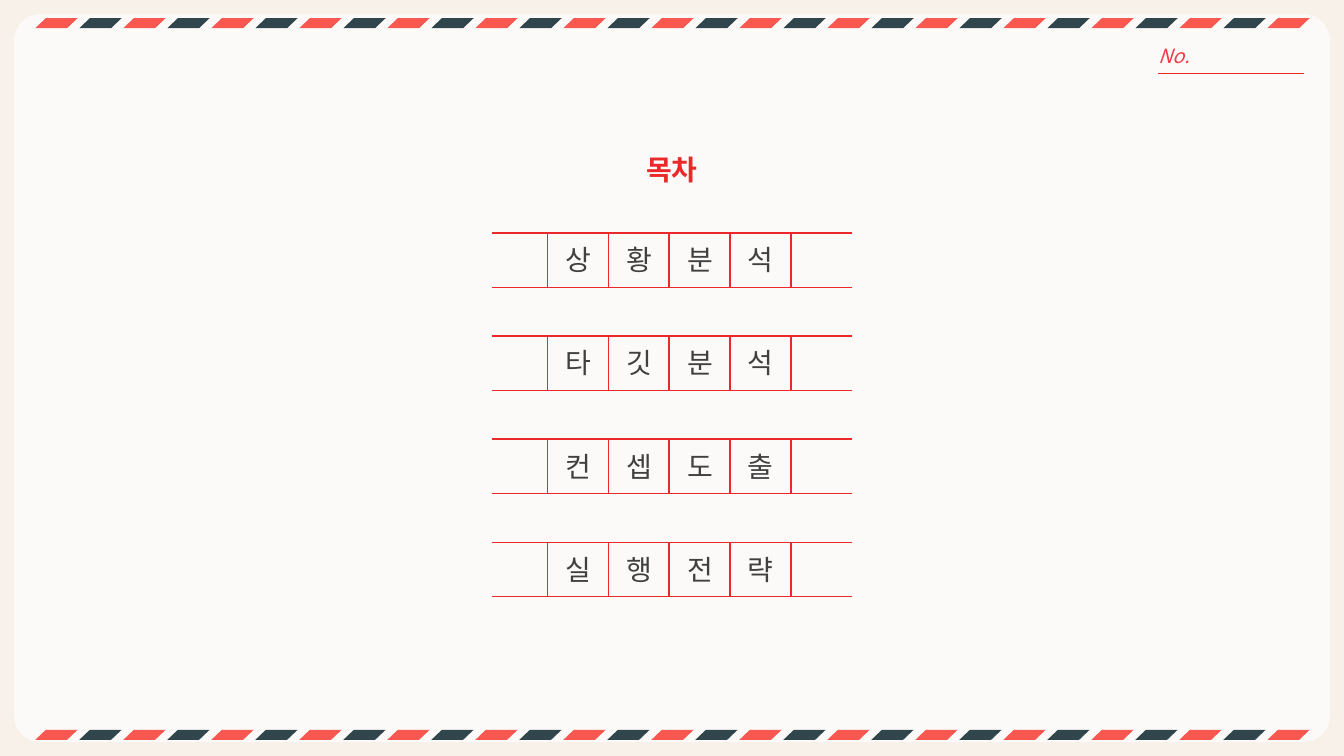
from dataclasses import dataclass

from lxml import etree
from pptx import Presentation
from pptx import util as u
from pptx.dml.color import RGBColor
from pptx.enum import shapes, text
from pptx.oxml.ns import qn


@dataclass(frozen=True)
class Theme:
    """Colours, font and type sizes of the slide."""
    paper: str = "F8F1E9"
    card: str = "FFFFFF"
    coral: str = "F95850"
    slate: str = "31454C"
    rule: str = "EB292B"
    label: str = "F03C45"
    ink: str = "404040"
    face: str = "Noto Sans CJK KR"
    small: int = 14
    large: int = 20
    thin: float = 1
    rule_pt: float = 1.1


T = Theme()
TOPICS = ("상황분석", "타깃분석", "컨셉도출", "실행전략")


def rgb(code):
    """Turn a hex code into a colour."""
    return RGBColor.from_string(code)


def shape(host, kind, box, color, adj):
    """Add a flat filled preset shape."""
    item = host.shapes.add_shape(kind, *map(u.Inches, box))
    item.shadow.inherit = False
    item.adjustments[0] = adj
    item.fill.solid()
    item.fill.fore_color.rgb = rgb(color)
    item.line.fill.background()
    return item


def rule(host, start, end, width):
    """Add a plain red line between two points."""
    line = host.shapes.add_connector(
        shapes.MSO_CONNECTOR.STRAIGHT, *map(u.Inches, (*start, *end)))
    line.line.color.rgb = rgb(T.rule)
    line.line.width = u.Pt(width)
    etree.SubElement(line._element.spPr, qn("a:effectLst"))


def label(host, box, words, color, form, wrap=True, align=None, gap=0):
    """Add one line of text with the given font format."""
    frame = host.shapes.add_textbox(*map(u.Inches, box)).text_frame
    frame.word_wrap = wrap
    para = frame.paragraphs[0]
    para.alignment = align
    run = para.add_run()
    run.text = words
    for key, value in {"name": T.face, **form}.items():
        setattr(run.font, key, value)
    run.font.color.rgb = rgb(color)
    props = run._r.get_or_add_rPr()
    etree.SubElement(props, qn("a:ea"), typeface=T.face)
    if gap:
        props.set("spc", str(gap * 100))


def card(slide, box):
    """Draw the translucent rounded sheet."""
    sheet = shape(slide, shapes.MSO_SHAPE.ROUNDED_RECTANGLE, box, T.card, 0.036)
    color = sheet._element.spPr.find(".//" + qn("a:srgbClr"))
    etree.SubElement(color, qn("a:alpha"), val="70000")


def border(slide, box, count=29):
    """Fill a strip with slanted stripes in alternating colours."""
    left, top, width, height = box
    size = 0.42
    step = (width - size) / (count - 1)
    group = slide.shapes.add_group_shape()
    for i in range(count):
        shape(group, shapes.MSO_SHAPE.PARALLELOGRAM,
              (left + i * step, top, size, height),
              (T.coral, T.slate)[i % 2], 1.049)


def number(slide, box):
    """Draw the number label above its line."""
    left, top, width, height = box
    base = top + height
    rule(slide, (left, base), (left + width, base), T.thin)
    label(slide, (left - 0.1, top, 0.51, height), "No.", T.label,
          {"size": u.Pt(T.small), "italic": True}, wrap=False)


def topic(slide, box, words):
    """Draw a ruled row with one letter in each cell."""
    left, top, width, height = box
    right, base = left + width, top + height
    cell, inset = 0.604, 0.55
    group = slide.shapes.add_group_shape()
    for i in range(len(words) + 1):
        x = left + inset + i * cell
        rule(group, (x, top), (x, base), T.rule_pt)
    for y in (top, base):
        rule(group, (left, y), (right, y), T.rule_pt)
    label(group, (left + 0.63, top + 0.05, 2.8, 0.44), words, T.ink,
          {"size": u.Pt(T.large)}, gap=25)


def contents(slide, box):
    """Draw the heading and the evenly spaced topics below it."""
    left, top, width, height = box
    label(slide, (left + width / 2 - 0.365, top, 0.73, 0.44), "목차", T.rule,
          {"size": u.Pt(T.large), "bold": True}, wrap=False,
          align=text.PP_ALIGN.CENTER)
    first, tall = 0.85, 0.54
    step = (height - first - tall) / (len(TOPICS) - 1)
    for i, words in enumerate(TOPICS):
        topic(slide, (left, top + first + i * step, width, tall), words)


def main():
    """Build and save the slide."""
    deck = Presentation()
    deck.slide_width, deck.slide_height = u.Inches(13.33), u.Inches(7.5)
    slide = deck.slides.add_slide(deck.slide_layouts[6])
    slide.background.fill.solid()
    slide.background.fill.fore_color.rgb = rgb(T.paper)
    card(slide, (0.14, 0.14, 13.05, 7.22))
    for top in (7.24, 0.18):
        border(slide, (0.35, top, 12.64, 0.1))
    number(slide, (11.49, 0.39, 1.44, 0.34))
    contents(slide, (4.88, 1.46, 3.57, 4.46))
    deck.save("out.pptx")


if __name__ == "__main__":
    main()
